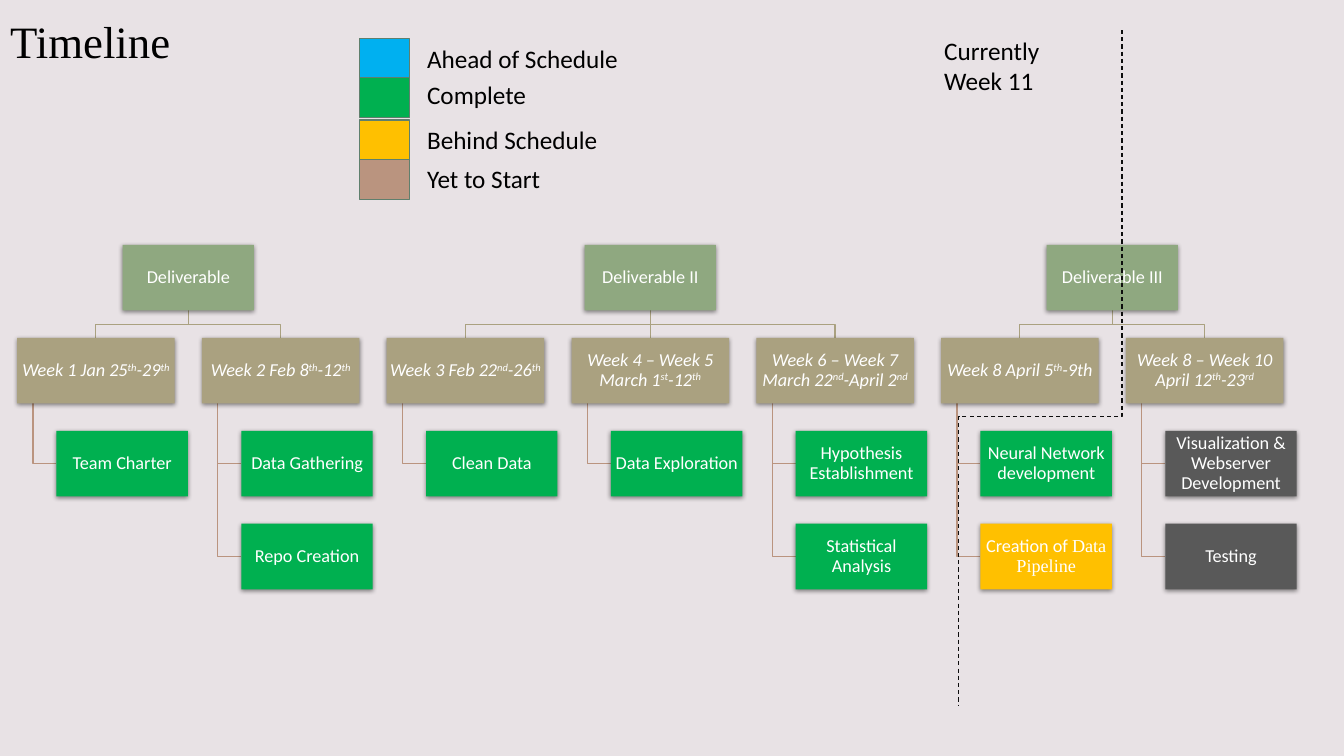
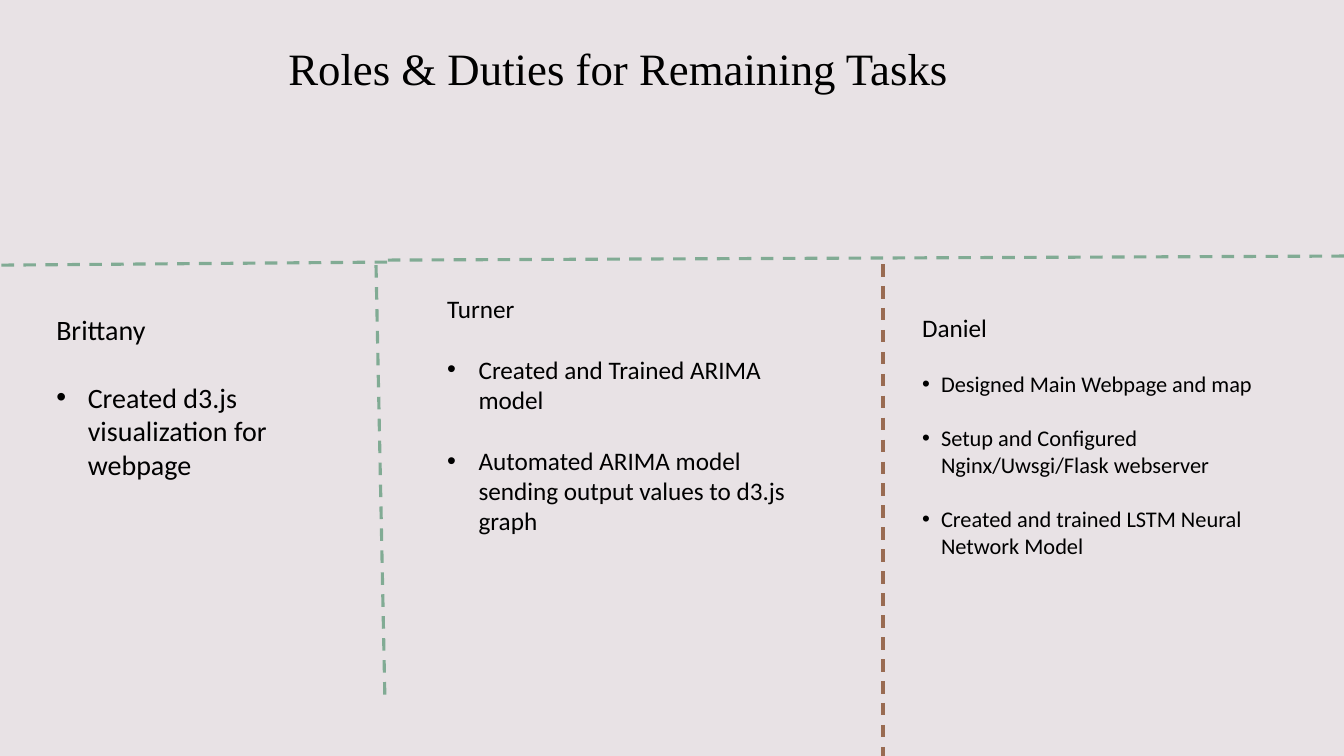
from dataclasses import dataclass
from typing import NamedTuple

from lxml.etree import SubElement
from pptx import Presentation
from pptx.dml.color import RGBColor as Rgb
from pptx.enum.dml import MSO_LINE
from pptx.enum.shapes import MSO_CONNECTOR as Link, MSO_SHAPE
from pptx.enum.text import MSO_ANCHOR as Anchor, MSO_AUTO_SIZE as AutoSize, PP_ALIGN as Align
from pptx.oxml.ns import qn
from pptx.util import Pt


@dataclass(frozen=True)
class Theme:
    background: Rgb = Rgb.from_string("E8E2E5")
    ink: Rgb = Rgb.from_string("000000")
    white: Rgb = Rgb.from_string("FFFFFF")
    deliverable: Rgb = Rgb.from_string("8FA880")
    week: Rgb = Rgb.from_string("AAA180")
    ahead: Rgb = Rgb.from_string("00B0F0")
    complete: Rgb = Rgb.from_string("00B050")
    behind: Rgb = Rgb.from_string("FFC000")
    yet_to_start: Rgb = Rgb.from_string("BA947F")
    pending: Rgb = Rgb.from_string("595959")
    swatch_edge: Rgb = Rgb.from_string("5F7F6D")
    today: Rgb = Rgb.from_string("0D0D0D")
    green_rule: Rgb = Rgb.from_string("81AB94")
    brown_rule: Rgb = Rgb.from_string("996B52")
    body_font: str = "Calibri"
    title_font: str = "Times New Roman"
    title_size: float = 32
    label_size: float = 18
    card_size: float = 13
    thin: float = 0.85


THEME = Theme()


class Frame(NamedTuple):
    left: float
    top: float
    width: float
    height: float

    @property
    def centre(self) -> float:
        return self.left + self.width / 2

    @property
    def middle(self) -> float:
        return self.top + self.height / 2

    @property
    def bottom(self) -> float:
        return self.top + self.height

    def points(self) -> list:
        return [Pt(value) for value in self]


class Span(NamedTuple):
    text: str
    raised: bool = False
    font: str = THEME.body_font


class Task(NamedTuple):
    spans: list
    status: Rgb = THEME.complete


class Week(NamedTuple):
    dates: str
    tasks: list


class Deliverable(NamedTuple):
    name: str
    weeks: list


class Status(NamedTuple):
    label: str
    colour: Rgb
    swatch_top: float
    label_top: float


class Member(NamedTuple):
    name: str
    frame: Frame
    name_size: float
    duty_size: float
    indent: float
    gap: float
    duties: list


class Rule(NamedTuple):
    start: tuple
    end: tuple
    colour: Rgb = THEME.green_rule


def task(text: str, status: Rgb = THEME.complete) -> Task:
    return Task([Span(text)], status)


PLAN = [
    Deliverable("Deliverable", [
        Week("Week 1 Jan 25^th^-29^th", [task("Team Charter")]),
        Week("Week 2 Feb 8^th^-12^th", [task("Data Gathering"), task("Repo Creation")]),
    ]),
    Deliverable("Deliverable II", [
        Week("Week 3 Feb 22^nd^-26^th", [task("Clean Data")]),
        Week("Week 4 – Week 5 March 1^st^-12^th", [task("Data Exploration")]),
        Week("Week 6 – Week 7 March 22^nd^-April 2^nd",
             [task("Hypothesis Establishment"), task("Statistical Analysis")]),
    ]),
    Deliverable("Deliverable III", [
        Week("Week 8 April 5^th^-9th", [
            task("Neural Network development"),
            Task([Span("Creation of "), Span("Data Pipeline", font=THEME.title_font)],
                 THEME.behind),
        ]),
        Week("Week 8 – Week 10 April 12^th^-23^rd", [
            task("Visualization & Webserver Development", THEME.pending),
            task("Testing", THEME.pending),
        ]),
    ]),
]
LEGEND = [
    Status("Ahead of Schedule", THEME.ahead, 27.4, 27.4),
    Status("Complete", THEME.complete, 55.4, 53.3),
    Status("Behind Schedule", THEME.behind, 85.7, 85),
    Status("Yet to Start", THEME.yet_to_start, 113.8, 113),
]
TEAM = [
    Member("Brittany", Frame(33.1, 219.6, 168, 204), 20, 20, 22.5, 24.4,
           ["Created d3.js visualization for webpage"]),
    Member("Turner", Frame(312.3, 205.7, 278.6, 245.5), 18, 18, 22.5, 22,
           ["Created and Trained ARIMA model",
            "Automated ARIMA model sending output values to d3.js graph"]),
    Member("Daniel", Frame(651.6, 219.6, 275, 204), 18, 16, 13.5, 19.5,
           ["Designed Main Webpage and map",
            "Setup and Configured Nginx/Uwsgi/Flask webserver",
            "Created and trained LSTM Neural Network Model"]),
]
RULES = [
    Rule((268.6, 189.4), (275, 501.8)),
    Rule((276.5, 187.2), (0, 189.4)),
    Rule((960, 182.9), (275, 185.8)),
    Rule((630.7, 188.6), (630.7, 540), THEME.brown_rule),
]

FIRST_LEFT, COLUMN_PITCH = 12.24, 132
FIRST_TOP, ROW_PITCH = 174.9, 66.4
CARD_WIDTH, WEEK_WIDTH, CARD_HEIGHT = 93.9, 112.5, 46.9
TASK_INDENT, STEM_INDENT = 28.1, 11.3


def style(font, size: float, colour: Rgb, name: str = THEME.body_font) -> None:
    font.size, font.name = Pt(size), name
    font.color.rgb = colour


def add_title(slide, text: str, frame: Frame, align: Align, anchor: Anchor) -> None:
    title = slide.shapes.title
    title.left, title.top, title.width, title.height = frame.points()
    body = title.text_frame
    body.text = text
    body.auto_size, body.vertical_anchor = AutoSize.NONE, anchor
    heading = body.paragraphs[0]
    heading.alignment = align
    style(heading.runs[0].font, THEME.title_size, THEME.ink, THEME.title_font)


def add_box(slide, frame: Frame, fill: Rgb):
    box = slide.shapes.add_shape(MSO_SHAPE.RECTANGLE, *frame.points())
    box.shadow.inherit = False
    box.fill.solid()
    box.fill.fore_color.rgb = fill
    return box


def add_shadow(box) -> None:
    effects = box._element.spPr.find(qn("a:effectLst"))
    shadow = SubElement(effects, qn("a:outerShdw"), blurRad=str(Pt(3.5)),
                        dist=str(Pt(1.1)), dir="5400000", algn="ctr", rotWithShape="0")
    black = SubElement(shadow, qn("a:srgbClr"), val="000000")
    SubElement(black, qn("a:alpha"), val="45000")


def add_card(slide, frame: Frame, fill: Rgb, spans: list, italic: bool = False) -> None:
    card = add_box(slide, frame, fill)
    card.line.fill.background()
    add_shadow(card)
    body = card.text_frame
    body.word_wrap, body.vertical_anchor = True, Anchor.MIDDLE
    body.margin_left = body.margin_right = body.margin_top = body.margin_bottom = Pt(0.6)
    caption = body.paragraphs[0]
    caption.alignment, caption.line_spacing = Align.CENTER, 0.9
    for span in spans:
        run = caption.add_run()
        run.text = span.text
        style(run.font, THEME.card_size, THEME.white, span.font)
        run.font.italic = italic
        if span.raised:
            run._r.get_or_add_rPr().set("baseline", "30000")


def add_branches(slide, branches: list, colour: Rgb) -> None:
    paths = [[(Pt(x), Pt(y)) for x, y in branch] for branch in branches]
    builder = slide.shapes.build_freeform(*paths[0][0])
    for number, (start, *rest) in enumerate(paths):
        if number:
            builder.move_to(*start)
        builder.add_line_segments(rest, close=False)
    tree = builder.convert_to_shape()
    tree.shadow.inherit = False
    tree.fill.background()
    tree.line.color.rgb, tree.line.width = colour, Pt(THEME.thin)


def add_dashes(slide, kind: Link, start: tuple, end: tuple, colour: Rgb, width: float):
    dashes = slide.shapes.add_connector(kind, *(Pt(value) for value in (*start, *end)))
    dashes.line.color.rgb, dashes.line.width = colour, Pt(width)
    dashes.line.dash_style = MSO_LINE.DASH
    SubElement(dashes._element.spPr, qn("a:effectLst"))
    return dashes


def add_text(slide, frame: Frame, text: str, size: float = THEME.label_size):
    body = slide.shapes.add_textbox(*frame.points()).text_frame
    body.word_wrap = True
    body.text = text
    style(body.paragraphs[0].runs[0].font, size, THEME.ink)
    return body


def add_week(slide, week: Week, frame: Frame) -> None:
    stem = frame.left + STEM_INDENT
    places = [Frame(frame.left + TASK_INDENT, frame.top + ROW_PITCH * row,
                    CARD_WIDTH, CARD_HEIGHT) for row in range(1, len(week.tasks) + 1)]
    add_branches(slide, [[(stem, frame.bottom), (stem, place.middle), (place.left, place.middle)]
                         for place in places], THEME.yet_to_start)
    dates = [Span(part, raised=index % 2 == 1)
             for index, part in enumerate(week.dates.split("^"))]
    add_card(slide, frame, THEME.week, dates, italic=True)
    for item, place in zip(week.tasks, places):
        add_card(slide, place, item.status, item.spans)


def add_deliverable(slide, deliverable: Deliverable, first_column: int) -> None:
    places = [Frame(FIRST_LEFT + COLUMN_PITCH * (first_column + offset), FIRST_TOP + ROW_PITCH,
                    WEEK_WIDTH, CARD_HEIGHT) for offset in range(len(deliverable.weeks))]
    centre = (places[0].centre + places[-1].centre) / 2
    head = Frame(centre - CARD_WIDTH / 2, FIRST_TOP, CARD_WIDTH, CARD_HEIGHT)
    fork = (head.bottom + places[0].top) / 2
    add_branches(slide, [[(centre, head.bottom), (centre, fork), (place.centre, fork),
                          (place.centre, place.top)] for place in places], THEME.week)
    add_card(slide, head, THEME.deliverable, [Span(deliverable.name)])
    for week, place in zip(deliverable.weeks, places):
        add_week(slide, week, place)


def add_today(slide) -> None:
    today = add_dashes(slide, Link.ELBOW, (501.6, 204.7), (984.7, 321.3), THEME.today, 0.75)
    shape_props = today._element.spPr
    shape_props.find(qn("a:xfrm")).set("rot", "5400000")
    adjustments = shape_props.find(qn("a:prstGeom")).get_or_add_avLst()
    SubElement(adjustments, qn("a:gd"), name="adj1", fmla="val 57100")
    add_text(slide, Frame(667.4, 21.6, 105, 51), "Currently Week 11")


def add_member(slide, member: Member) -> None:
    body = add_text(slide, member.frame, member.name, member.name_size)
    for duty in member.duties:
        line = body.add_paragraph()
        line.text = duty
        props = line._p.get_or_add_pPr()
        props.set("marL", str(Pt(member.indent)))
        props.set("indent", str(-Pt(member.indent)))
        SubElement(props, qn("a:buFont"), typeface="Arial")
        SubElement(props, qn("a:buChar"), char="•")
        line.space_before = Pt(member.gap)
        style(line.runs[0].font, member.duty_size, THEME.ink)


def build_timeline(slide) -> None:
    add_title(slide, "Timeline", Frame(0, 6.5, 453, 114.5), Align.LEFT, Anchor.TOP)
    column = 0
    for deliverable in PLAN:
        add_deliverable(slide, deliverable, column)
        column += len(deliverable.weeks)
    add_today(slide)
    for status in LEGEND:
        swatch = add_box(slide, Frame(257, status.swatch_top, 35.3, 28.6), status.colour)
        swatch.line.color.rgb, swatch.line.width = THEME.swatch_edge, Pt(THEME.thin)
        add_text(slide, Frame(298, status.label_top, 172, 29), status.label)


def build_roles(slide) -> None:
    add_title(slide, "Roles & Duties for Remaining Tasks", Frame(39.6, -16.5, 804.2, 87.8),
              Align.CENTER, Anchor.BOTTOM)
    for rule in RULES:
        add_dashes(slide, Link.STRAIGHT, rule.start, rule.end, rule.colour, 2.25)
    for member in TEAM:
        add_member(slide, member)


def main() -> None:
    deck = Presentation()
    deck.slide_width, deck.slide_height = Pt(960), Pt(540)
    backdrop = deck.slide_master.background.fill
    backdrop.solid()
    backdrop.fore_color.rgb = THEME.background
    for build in (build_timeline, build_roles):
        build(deck.slides.add_slide(deck.slide_layouts[5]))
    deck.save("out.pptx")


if __name__ == "__main__":
    main()
